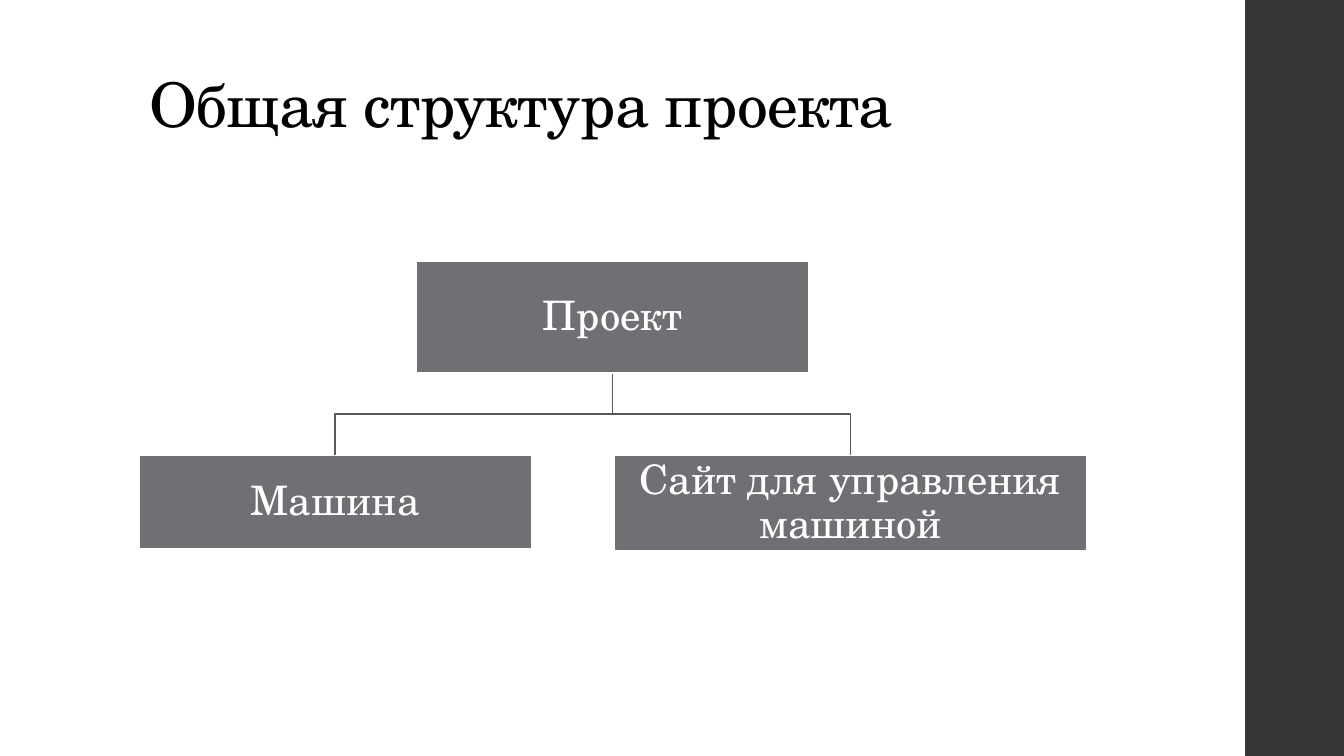
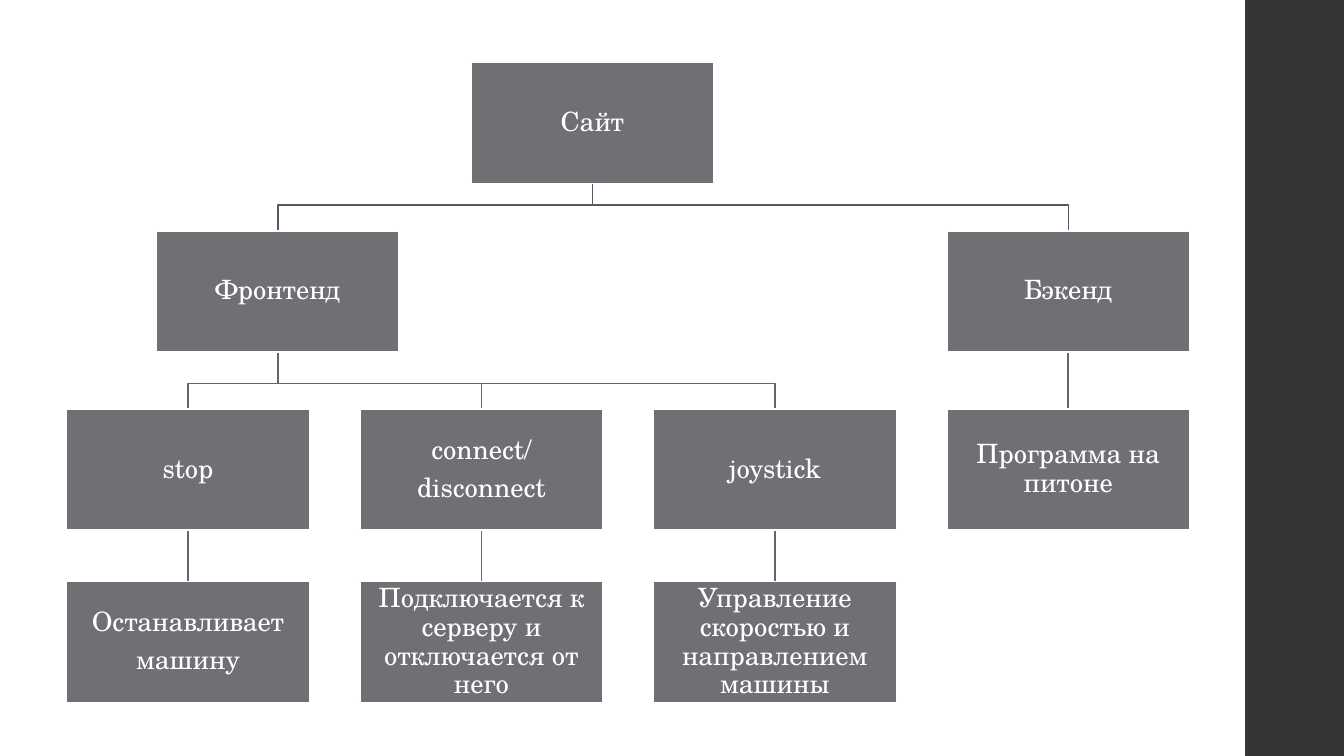
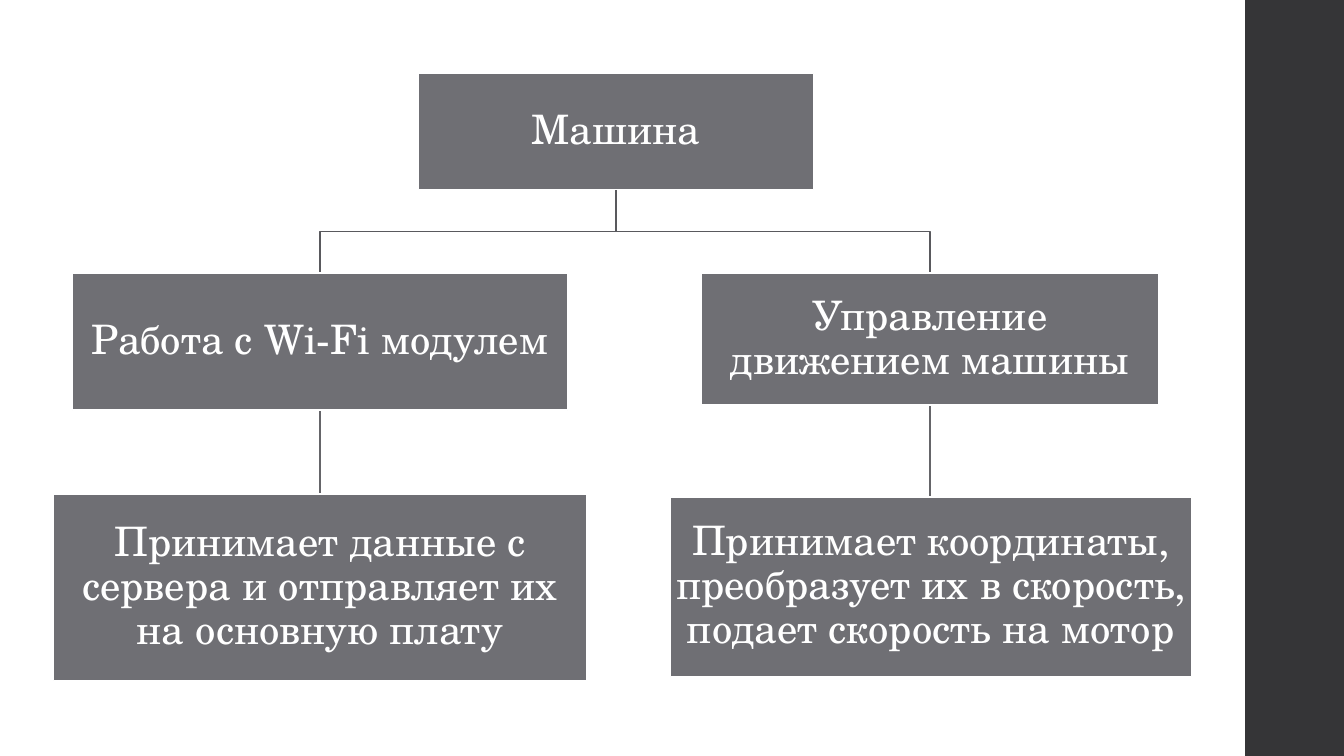
from dataclasses import dataclass

from lxml import etree
from pptx import Presentation
from pptx import util as u
from pptx.dml.color import RGBColor
from pptx.enum import shapes, text
from pptx.oxml.ns import qn


@dataclass(frozen=True)
class Theme:
    font: str = "TeX Gyre Schola"
    paper: RGBColor = RGBColor(0xFF, 0xFF, 0xFF)
    ink: RGBColor = RGBColor(0, 0, 0)
    band: RGBColor = RGBColor(0x35, 0x35, 0x37)
    node: RGBColor = RGBColor(0x6F, 0x6F, 0x74)
    root_link: RGBColor = RGBColor(0x59, 0x59, 0x5D)
    branch_link: RGBColor = RGBColor(0x65, 0x65, 0x69)
    title_size: int = 44
    large: int = 29
    small: int = 19
    stroke: float = 1.1
    line_spacing: float = 0.9
    space_after: float = 0.35


@dataclass(frozen=True)
class Node:
    label: str
    box: tuple
    children: tuple = ()
    bend: float = 0.5

    @property
    def center(self):
        return self.box[0] + self.box[2] / 2

    @property
    def bottom(self):
        return self.box[1] + self.box[3]


THEME = Theme()
TITLE_ONLY, BLANK = 5, 6


def add_band(deck, slide, box):
    band = slide.shapes.add_shape(shapes.MSO_SHAPE.RECTANGLE, *map(u.Inches, box))
    band.shadow.inherit = False
    band.fill.solid()
    band.fill.fore_color.rgb = THEME.band
    band.line.fill.background()
    band.element.nvSpPr.cNvPr.set("id", "20")
    deck.slide_master.shapes.element.insert(2, band.element)


def add_title(slide, box, wording):
    title = slide.shapes.title
    title.left, title.top, title.width, title.height = map(u.Inches, box)
    frame = title.text_frame
    frame.text = wording
    frame.vertical_anchor = text.MSO_ANCHOR.BOTTOM
    heading = frame.paragraphs[0]
    heading.alignment = text.PP_ALIGN.LEFT
    heading.line_spacing = THEME.line_spacing
    heading.font.name = THEME.font
    heading.font.size = u.Pt(THEME.title_size)
    heading.font.color.rgb = THEME.ink
    heading.runs[0].font._element.set("spc", "-50")


def add_link(slide, origin, parent, child, color):
    left, top = origin
    start_x, end_x = left + parent.center, left + child.center
    start_y, end_y = top + parent.bottom, top + child.box[1]
    if abs(end_x - start_x) < 0.02:
        link = slide.shapes.add_connector(
            shapes.MSO_CONNECTOR.STRAIGHT,
            *map(u.Inches, (start_x, start_y, start_x, end_y)),
        )
        etree.SubElement(link.element.spPr, qn("a:effectLst"))
    else:
        bend_y = start_y + parent.bend * (end_y - start_y)
        route = [(start_x, bend_y), (end_x, bend_y), (end_x, end_y)]
        builder = slide.shapes.build_freeform(u.Inches(start_x), u.Inches(start_y))
        builder.add_line_segments(
            [(u.Inches(x), u.Inches(y)) for x, y in route], close=False
        )
        link = builder.convert_to_shape()
        link.shadow.inherit = False
        link.fill.background()
    link.line.color.rgb = color
    link.line.width = u.Pt(THEME.stroke)


def add_node(slide, origin, node, size, inset):
    x, y, width, height = node.box
    block = slide.shapes.add_shape(
        shapes.MSO_SHAPE.RECTANGLE,
        *map(u.Inches, (origin[0] + x, origin[1] + y, width, height)),
    )
    block.shadow.inherit = False
    block.fill.solid()
    block.fill.fore_color.rgb = THEME.node
    block.line.color.rgb = THEME.paper
    block.line.width = u.Pt(THEME.stroke)
    frame = block.text_frame
    frame.text = node.label
    frame.word_wrap = True
    frame.vertical_anchor = text.MSO_ANCHOR.MIDDLE
    frame.margin_left = frame.margin_right = u.Inches(inset)
    frame.margin_top = frame.margin_bottom = u.Inches(inset)
    for paragraph in frame.paragraphs:
        paragraph.alignment = text.PP_ALIGN.CENTER
        paragraph.line_spacing = THEME.line_spacing
        paragraph.space_after = u.Pt(size * THEME.space_after)
        paragraph.font.name = THEME.font
        paragraph.font.size = u.Pt(size)
        paragraph.font.color.rgb = THEME.paper


def add_links(slide, origin, parent, color):
    for child in parent.children:
        add_link(slide, origin, parent, child, color)
        add_links(slide, origin, child, THEME.branch_link)


def add_nodes(slide, origin, node, size, inset):
    add_node(slide, origin, node, size, inset)
    for child in node.children:
        add_nodes(slide, origin, child, size, inset)


def add_tree(slide, origin, root, size, inset=0.02):
    add_links(slide, origin, root, THEME.root_link)
    add_nodes(slide, origin, root, size, inset)


def project_tree():
    return Node("Проект", (2.75, 0, 3.89, 1.11), (
        Node("Машина", (0, 1.93, 3.89, 0.92)),
        Node("Сайт для управления машиной", (4.71, 1.93, 4.69, 0.94)),
    ))


def site_tree():
    levels = (0, 1.67, 3.44, 5.15)
    columns = [2.91 * column for column in range(4)]

    def cell(left, level):
        return left, levels[level], 2.41, 1.2

    controls = (
        ("stop", "Останавливает\nмашину"),
        ("connect/\ndisconnect", "Подключается к серверу и отключается от него"),
        ("joystick", "Управление скоростью и направлением машины"),
    )
    features = tuple(
        Node(control, cell(left, 2), (Node(purpose, cell(left, 3)),))
        for left, (control, purpose) in zip(columns, controls)
    )
    program = Node("Программа на питоне", cell(columns[3], 2))
    return Node("Сайт", cell(4.01, 0), (
        Node("Фронтенд", cell(0.89, 1), features, bend=0.55),
        Node("Бэкенд", cell(columns[3], 1), (program,)),
    ), bend=0.45)


def car_tree():
    data = Node("Принимает данные с сервера и отправляет их на основную плату",
                (0, 4.17, 5.29, 1.85))
    coordinates = Node("Принимает координаты, преобразует их в скорость, подает скорость на мотор",
                       (6.12, 4.2, 5.17, 1.78))
    return Node("Машина", (3.62, 0, 3.92, 1.15), (
        Node("Работа с Wi-Fi модулем", (0.19, 1.98, 4.91, 1.36), (data,)),
        Node("Управление движением машины", (6.43, 1.98, 4.53, 1.31), (coordinates,)),
    ))


def build():
    deck = Presentation()
    deck.slide_width, deck.slide_height = u.Inches(13.33), u.Inches(7.5)
    background = deck.slide_master.background.fill
    background.solid()
    background.fore_color.rgb = THEME.paper

    overview, site, car = (
        deck.slides.add_slide(deck.slide_layouts[layout])
        for layout in (TITLE_ONLY, BLANK, BLANK)
    )
    add_band(deck, overview, (12.35, 0, 0.98, 7.5))
    add_title(overview, (1.38, 0, 10.6, 1.45), "Общая структура проекта")
    add_tree(overview, (1.38, 2.59), project_tree(), THEME.large)
    add_tree(site, (0.66, 0.62), site_tree(), THEME.small, inset=0.01)
    add_tree(car, (0.53, 0.73), car_tree(), THEME.large)
    deck.save("out.pptx")


build()
